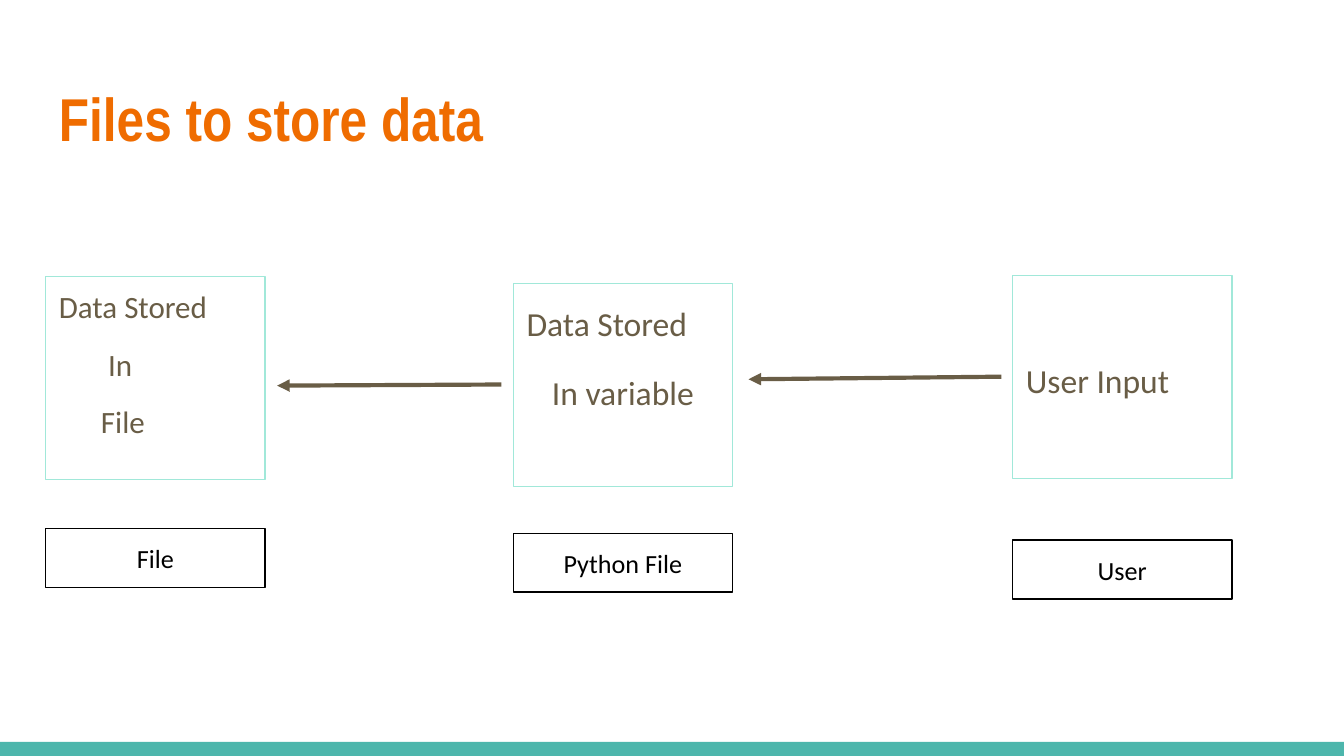
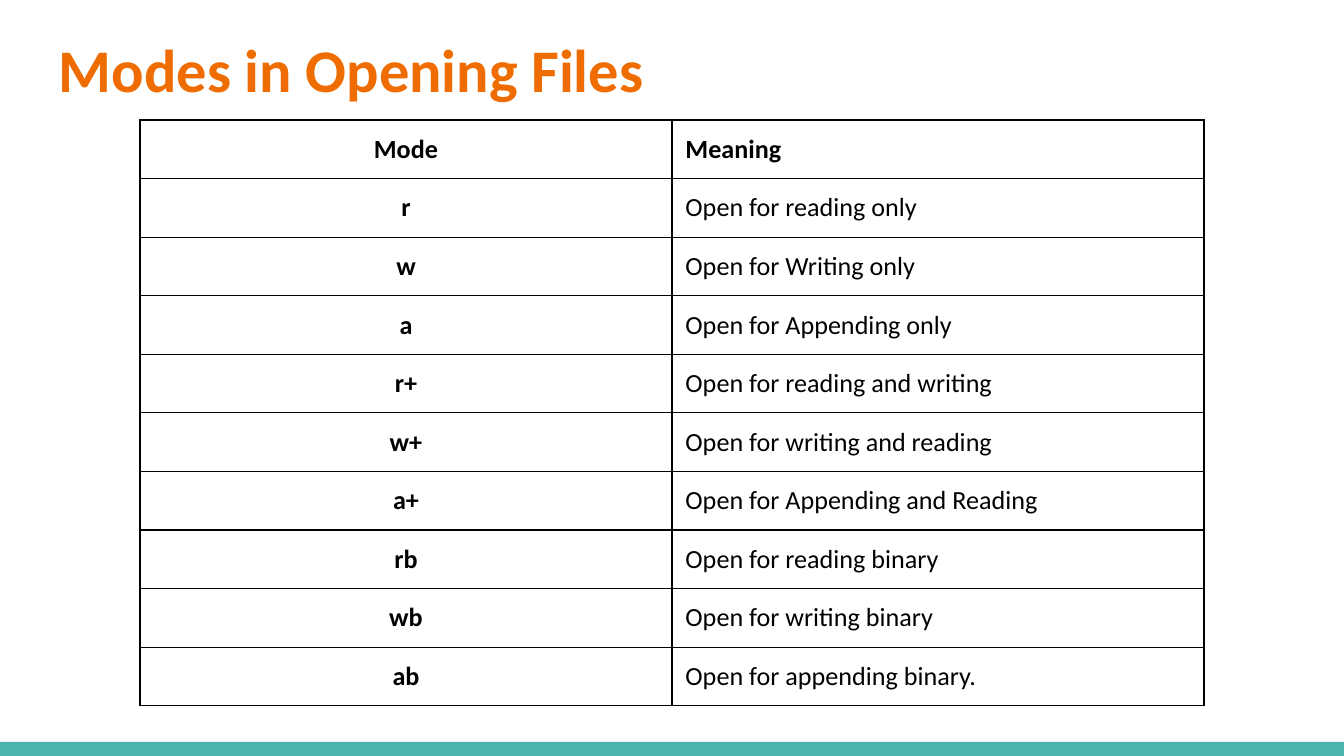
from lxml import etree
from pptx import Presentation
from pptx.dml.color import RGBColor
from pptx.enum.shapes import MSO_CONNECTOR, MSO_SHAPE
from pptx.enum.text import MSO_ANCHOR, PP_ALIGN
from pptx.oxml.ns import qn
from pptx.util import Pt

RECTANGLE = MSO_SHAPE.RECTANGLE
STRAIGHT = MSO_CONNECTOR.STRAIGHT
TOP, MIDDLE = MSO_ANCHOR.TOP, MSO_ANCHOR.MIDDLE
LEFT, CENTER = PP_ALIGN.LEFT, PP_ALIGN.CENTER

ORANGE = RGBColor(0xEF, 0x6C, 0x00)
TEAL = RGBColor(0x4D, 0xB6, 0xAC)
MINT = RGBColor(0xA1, 0xE8, 0xD9)
BROWN = RGBColor(0x69, 0x5D, 0x46)
BLACK = RGBColor(0, 0, 0)
WHITE = RGBColor(0xFF, 0xFF, 0xFF)

BODY_FONT = "Calibri"
SLIDE_W, SLIDE_H = 720, 405
BAND_H = 7.5
MARGIN = 24.5
INSET = 7.2
STAGE_W, STAGE_H, LABEL_H = 117.5, 108.7, 31.5

# Stage: left, box top, label top, label, size, line spacing, anchor,
# lines as (text, indent, alignment)
STAGES = [
    (MARGIN, 148.2, 283.2, "File", 16.6, 0.95, TOP,
     [("Data Stored", 0, LEFT), ("In", 26.3, LEFT), ("File", 22.5, LEFT)]),
    (275, 151.8, 285.8, "Python File", 18, 1.15, TOP,
     [("Data Stored", 0, LEFT), ("In variable", 0, CENTER)]),
    (542.5, 147.6, 289.4, "User", 18, 1.15, MIDDLE,
     [("User Input", 0, LEFT)]),
]
# Data flow arrows: start x, y, end x, y
FLOWS = [(536.4, 201.8, 401, 203.2), (268.6, 206, 148.5, 206.6)]

MODES = [
    ("Mode", "Meaning"),
    ("r", "Open for reading only"),
    ("w", "Open for Writing only"),
    ("a", "Open for Appending only"),
    ("r+", "Open for reading and writing"),
    ("w+", "Open for writing and reading"),
    ("a+", "Open for Appending and Reading"),
    ("rb", "Open for reading binary"),
    ("wb", "Open for writing binary"),
    ("ab", "Open for appending binary."),
]


def set_insets(frame):
    frame.margin_left = frame.margin_right = Pt(INSET)
    frame.margin_top = frame.margin_bottom = Pt(INSET)


def write(paragraph, text, size, color, bold=False, font=BODY_FONT, align=LEFT):
    paragraph.alignment = align
    run = paragraph.add_run()
    run.text = text
    run.font.name = font
    run.font.size = Pt(size)
    run.font.bold = bold
    run.font.color.rgb = color


def add_box(slide, left, top, width, height, fill=None, line=None):
    box = slide.shapes.add_shape(RECTANGLE, Pt(left), Pt(top), Pt(width), Pt(height))
    box.shadow.inherit = False
    if fill is None:
        box.fill.background()
    else:
        box.fill.solid()
        box.fill.fore_color.rgb = fill
    if line is None:
        box.line.fill.background()
    else:
        box.line.color.rgb = line
        box.line.width = Pt(0.75)
    frame = box.text_frame
    frame.word_wrap = True
    set_insets(frame)
    return box


def start_slide(prs, title, title_top, title_font):
    """Blank slide with the shared bottom band and title."""
    slide = prs.slides.add_slide(prs.slide_layouts[6])
    slide.background.fill.solid()
    slide.background.fill.fore_color.rgb = WHITE
    add_box(slide, 0, SLIDE_H - BAND_H, SLIDE_W, BAND_H, fill=TEAL)
    heading = slide.shapes.add_textbox(
        Pt(MARGIN), Pt(title_top), Pt(SLIDE_W - 2 * MARGIN), Pt(55.4))
    frame = heading.text_frame
    frame.word_wrap = True
    frame.vertical_anchor = MIDDLE
    set_insets(frame)
    write(frame.paragraphs[0], title, 32.4, ORANGE, True, title_font)
    return slide


def add_stage(slide, left, top, label_top, label, size, spacing, anchor, lines):
    """Outlined stage box with its caption box below."""
    frame = add_box(slide, left, top, STAGE_W, STAGE_H, line=MINT).text_frame
    frame.vertical_anchor = anchor
    for i, (text, indent, align) in enumerate(lines):
        paragraph = frame.add_paragraph() if i else frame.paragraphs[0]
        paragraph.line_spacing = spacing
        if i:
            paragraph.space_before = Pt(12)
        if indent:
            properties = paragraph._p.get_or_add_pPr()
            properties.set("marL", str(Pt(indent)))
            properties.set("indent", "0")
        write(paragraph, text, size, BROWN, align=align)

    caption = add_box(slide, left, label_top, STAGE_W, LABEL_H, line=BLACK).text_frame
    caption.vertical_anchor = MIDDLE
    write(caption.paragraphs[0], label, 14, BLACK, align=CENTER)


def add_flow(slide, x1, y1, x2, y2):
    arrow = slide.shapes.add_connector(STRAIGHT, Pt(x1), Pt(y1), Pt(x2), Pt(y2))
    arrow.line.color.rgb = BROWN
    arrow.line.width = Pt(2.25)
    etree.SubElement(arrow.line._get_or_add_ln(), qn("a:tailEnd"), type="triangle")
    etree.SubElement(arrow._element.spPr, qn("a:effectLst"))


def add_borders(cell):
    properties = cell._tc.get_or_add_tcPr()
    for i, side in enumerate(("lnL", "lnR", "lnT", "lnB")):
        border = etree.Element(qn(f"a:{side}"), w=str(Pt(0.75)))
        fill = etree.SubElement(border, qn("a:solidFill"))
        etree.SubElement(fill, qn("a:srgbClr"), val=str(BLACK))
        properties.insert(i, border)


def add_mode_table(slide, left, top, width, row_height):
    table = slide.shapes.add_table(
        len(MODES), 2, Pt(left), Pt(top), Pt(width),
        Pt(row_height * len(MODES))).table
    table.first_row = table.horz_banding = False
    for column in table.columns:
        column.width = Pt(width / 2)
    for r, entry in enumerate(MODES):
        table.rows[r].height = Pt(row_height)
        for c, text in enumerate(entry):
            cell = table.cell(r, c)
            set_insets(cell)
            cell.fill.solid()
            cell.fill.fore_color.rgb = WHITE
            add_borders(cell)
            # Header row and mode column are bold
            write(cell.text_frame.paragraphs[0], text, 14, BLACK,
                  bold=r == 0 or c == 0, align=LEFT if c else CENTER)


def build_storage_slide(prs):
    slide = start_slide(prs, "Files to store data", 35.3, "Arial Narrow")
    for stage in STAGES:
        add_stage(slide, *stage)
    for flow in FLOWS:
        add_flow(slide, *flow)


def build_modes_slide(prs):
    slide = start_slide(prs, "Modes in Opening Files", 8.7, BODY_FONT)
    add_mode_table(slide, 75, 64.3, 570, 31.4)


def main():
    prs = Presentation()
    prs.slide_width, prs.slide_height = Pt(SLIDE_W), Pt(SLIDE_H)
    build_storage_slide(prs)
    build_modes_slide(prs)
    prs.save("out.pptx")


if __name__ == "__main__":
    main()
